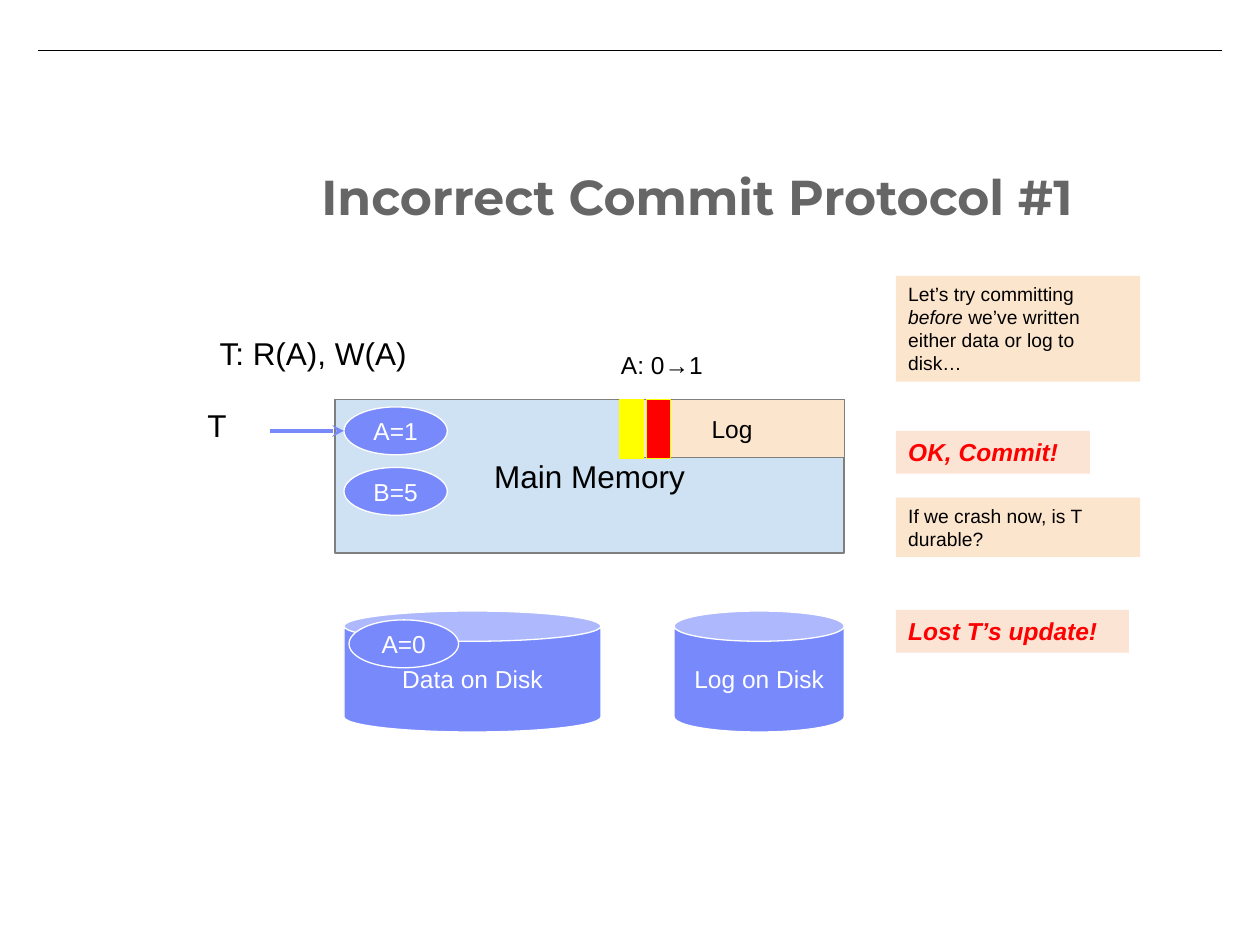
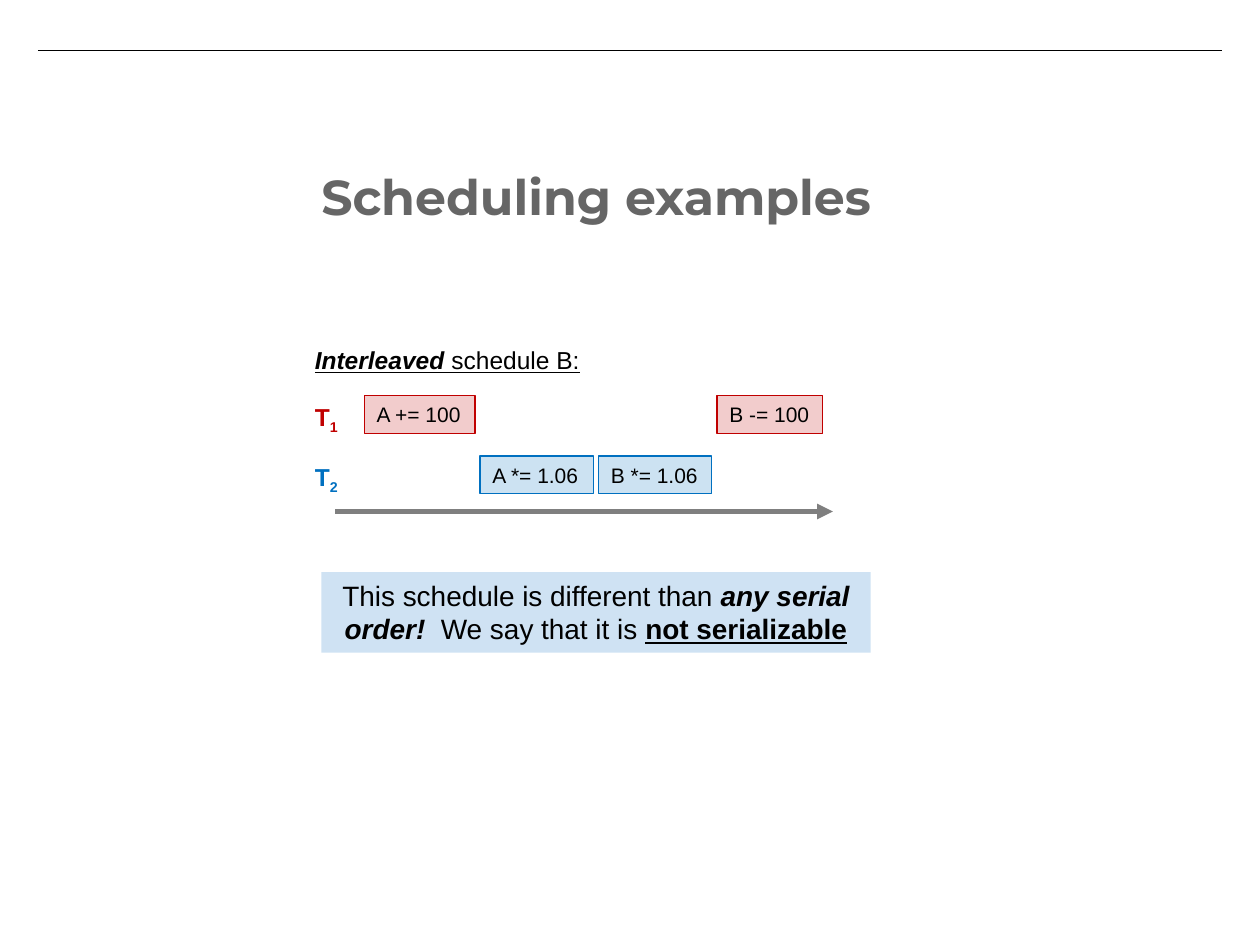
from dataclasses import dataclass

import pptx
import pptx.util
import pptx.dml.color
import pptx.enum.shapes
import pptx.enum.text
import pptx.oxml
import pptx.oxml.ns
from pptx.util import Inches

Shape = pptx.enum.shapes.MSO_SHAPE
Align = pptx.enum.text.PP_ALIGN
Anchor = pptx.enum.text.MSO_ANCHOR


@dataclass(frozen=True)
class Theme:
    title_font: str = "Montserrat"
    body_font: str = "Arial"
    title_size: int = 28
    large: int = 18
    statement: int = 16
    medium: int = 14
    small: int = 12
    note: int = 11
    title: str = "666666"
    black: str = "000000"
    white: str = "FFFFFF"
    grey: str = "7F7F7F"
    violet: str = "7889FB"
    pale_blue: str = "CFE2F3"
    peach: str = "FCE5CD"
    pink: str = "FBE4D4"
    red: str = "FF0000"
    yellow: str = "FFFF00"
    dark_red: str = "C00000"
    blue: str = "0070C0"


THEME = Theme()
TITLE_BOX = (2.45, 1.22, 7.31, 1.27)
HAIRLINE = 0.75

# Text is a string, or a list of (text, style) runs: b bold, i italic, u underline, s subscript.
DISKS = [
    ("Data on Disk", (2.73, 4.85, 2.04, 0.96)),
    ("Log on Disk", (5.35, 4.85, 1.35, 0.96)),
]
MEMORY_AREAS = [
    ("Main Memory", (2.66, 3.17, 4.04, 1.22), THEME.pale_blue, THEME.large),
    ("Log", (4.92, 3.17, 1.78, 0.46), THEME.peach, THEME.medium),
]
VALUES = [
    ("A=1", (2.73, 3.23, 0.82, 0.38)),
    ("B=5", (2.73, 3.71, 0.82, 0.38)),
    ("A=0", (2.77, 4.92, 0.87, 0.38)),
]
TRANSACTION_LABELS = [
    ("T ", (1.31, 3.17, 0.89, 0.4), THEME.large, Align.CENTER),
    ("T: R(A), W(A) ", (1.31, 2.6, 2.42, 0.4), THEME.large, Align.CENTER),
    ("A: 0→1", (4.83, 2.73, 1.12, 0.34), THEME.medium, Align.LEFT),
]
LOG_RECORDS = [(4.92, THEME.yellow), (5.13, THEME.red)]
NOTE_LEFT, NOTE_WIDTH = 7.11, 1.94
NOTES = [
    ([("Let’s try committing ", ""), ("before", "i"),
      (" we’ve written either data or log to disk…", "")], 2.19, 0.84),
    ("If we crash now, is T durable?", 3.95, 0.47),
]
VERDICTS = [("OK, Commit!", 3.42, 1.54), ("Lost T’s update!", 4.84, 1.85)]

LANES = {
    "1": (3.14, THEME.dark_red),
    "2": (3.62, THEME.blue),
}
OPERATIONS = [
    ("1", "A += 100", 0.88),
    ("2", "A *= 1.06", 0.9),
    ("2", "B *= 1.06", 0.9),
    ("1", "B -= 100", 0.84),
]
LANE_LEFT, FIRST_OPERATION, OPERATION_GAP, OPERATION_HEIGHT = 2.4, 2.89, 0.04, 0.3
SCHEDULE_NAME = [("Interleaved ", "biu"), ("schedule B:", "u")]
CONCLUSION = [
    ("This schedule is different than ", ""), ("any serial order!", "bi"),
    ("  We say that it is ", ""), ("not serializable", "bu"),
]


def rgb(color):
    return pptx.dml.color.RGBColor.from_string(color)


def inches(values):
    return [Inches(value) for value in values]


def write(frame, text, size, color, font=THEME.body_font, style="", align=Align.LEFT):
    paragraph = frame.paragraphs[0]
    paragraph.alignment = align
    paragraph.font.name = font
    paragraph.font.size = pptx.util.Pt(size)
    paragraph.font.color.rgb = rgb(color)
    paragraph.font.bold = "b" in style
    paragraph.font.italic = "i" in style
    runs = [(text, style)] if isinstance(text, str) else text
    for words, run_style in runs:
        run = paragraph.add_run()
        run.text = words
        for letter, attribute in (("b", "bold"), ("i", "italic"), ("u", "underline")):
            if letter in run_style:
                setattr(run.font, attribute, True)
        if "s" in run_style:
            run._r.get_or_add_rPr().set("baseline", "-25000")


def set_margins(frame, vertical):
    frame.margin_left = frame.margin_right = Inches(0.1)
    frame.margin_top = frame.margin_bottom = Inches(vertical)


def add_text(shapes, at, text, size, color=THEME.black, wrap=True, **format):
    frame = shapes.add_textbox(*inches(at)).text_frame
    frame.word_wrap = wrap
    set_margins(frame, 0.05)
    write(frame, text, size, color, **format)


def add_box(shapes, kind, at, fill, line=None, opacity=None, text="", size=THEME.medium,
            color=THEME.black, anchor=Anchor.TOP, wrap=True, **format):
    shape = shapes.add_shape(kind, *inches(at))
    shape.shadow.inherit = False
    shape.fill.solid()
    shape.fill.fore_color.rgb = rgb(fill)
    if opacity:
        fill_color = shape.element.spPr.find(".//" + pptx.oxml.ns.qn("a:srgbClr"))
        alpha = pptx.oxml.parse_xml(
            f'<a:alpha {pptx.oxml.ns.nsdecls("a")} val="{opacity * 1000}"/>')
        fill_color.append(alpha)
    if line:
        shape.line.color.rgb = rgb(line)
        shape.line.width = pptx.util.Pt(HAIRLINE)
    else:
        shape.line.fill.background()
    if text:
        frame = shape.text_frame
        frame.word_wrap = wrap
        frame.vertical_anchor = anchor
        set_margins(frame, 0.05)
        write(frame, text, size, color, **format)


def add_line(shapes, start, end, color, width, head=None):
    line = shapes.add_connector(pptx.enum.shapes.MSO_CONNECTOR.STRAIGHT, *inches(start + end))
    line.line.color.rgb = rgb(color)
    line.line.width = pptx.util.Pt(width)
    namespace = pptx.oxml.ns.nsdecls("a")
    if head:
        line.line._get_or_add_ln().append(
            pptx.oxml.parse_xml(f'<a:tailEnd {namespace} type="{head}"/>'))
    line.element.spPr.append(pptx.oxml.parse_xml(f"<a:effectLst {namespace}/>"))


def add_slide(presentation, title_text):
    """Add a slide with the shared top rule and title; return its shapes."""
    shapes = presentation.slides.add_slide(presentation.slide_layouts[5]).shapes
    add_line(shapes, (0.3, 0.4), (9.7, 0.4), THEME.black, HAIRLINE)
    title = shapes.title
    title.left, title.top, title.width, title.height = inches(TITLE_BOX)
    frame = title.text_frame
    frame.auto_size = pptx.enum.text.MSO_AUTO_SIZE.NONE
    frame.word_wrap = True
    frame.vertical_anchor = Anchor.TOP
    set_margins(frame, 0.1)
    write(frame, title_text, THEME.title_size, THEME.title, THEME.title_font, "b")
    return shapes


def build_commit_slide(presentation):
    shapes = add_slide(presentation, "Incorrect Commit Protocol #1")
    centred = dict(anchor=Anchor.MIDDLE, align=Align.CENTER)
    stored = dict(fill=THEME.violet, line=THEME.white, color=THEME.white, **centred)
    for text, at in DISKS:
        add_box(shapes, Shape.CAN, at, text=text, **stored)
    for text, at, fill, size in MEMORY_AREAS:
        add_box(shapes, Shape.RECTANGLE, at, fill, THEME.grey, text=text, size=size, **centred)
    for text, at in VALUES:
        add_box(shapes, Shape.OVAL, at, text=text, **stored)
    add_line(shapes, (2.14, 3.42), (2.73, 3.42), THEME.violet, 2.25, "stealth")
    for text, at, size, align in TRANSACTION_LABELS:
        add_text(shapes, at, text, size, align=align)
    for left, fill in LOG_RECORDS:
        add_box(shapes, Shape.RECTANGLE, (left, 3.17, 0.19, 0.47), fill, THEME.yellow)
    for text, top, height in NOTES:
        add_box(shapes, Shape.RECTANGLE, (NOTE_LEFT, top, NOTE_WIDTH, height), THEME.peach,
                text=text, size=THEME.note)
    for text, top, width in VERDICTS:
        add_box(shapes, Shape.RECTANGLE, (NOTE_LEFT, top, width, 0.34), THEME.pink,
                text=text, color=THEME.red, style="bi")


def build_schedule_slide(presentation):
    shapes = add_slide(presentation, "Scheduling examples")
    timeline = shapes.add_group_shape().shapes
    add_line(timeline, (2.66, 4.06), (6.61, 4.06), THEME.grey, 3, "triangle")
    for number, (top, color) in LANES.items():
        add_text(timeline, (LANE_LEFT, top, 0.39, 0.34), [("T", ""), (number, "s")],
                 THEME.medium, color, wrap=False, style="b")
    left = FIRST_OPERATION
    for number, text, width in OPERATIONS:
        top, color = LANES[number]
        add_box(timeline, Shape.RECTANGLE, (left, top, width, OPERATION_HEIGHT), color, color,
                opacity=20, text=text, size=THEME.small, wrap=False)
        left += width + OPERATION_GAP
    add_box(shapes, Shape.RECTANGLE, (2.55, 4.54, 4.36, 0.64), THEME.pale_blue,
            text=CONCLUSION, size=THEME.statement, align=Align.CENTER)
    add_text(shapes, (LANE_LEFT, 2.69, 2.31, 0.34), SCHEDULE_NAME, THEME.medium, wrap=False)


def main():
    presentation = pptx.Presentation()
    presentation.slide_width, presentation.slide_height = inches((10, 7.5))
    build_commit_slide(presentation)
    build_schedule_slide(presentation)
    presentation.save("out.pptx")


if __name__ == "__main__":
    main()
